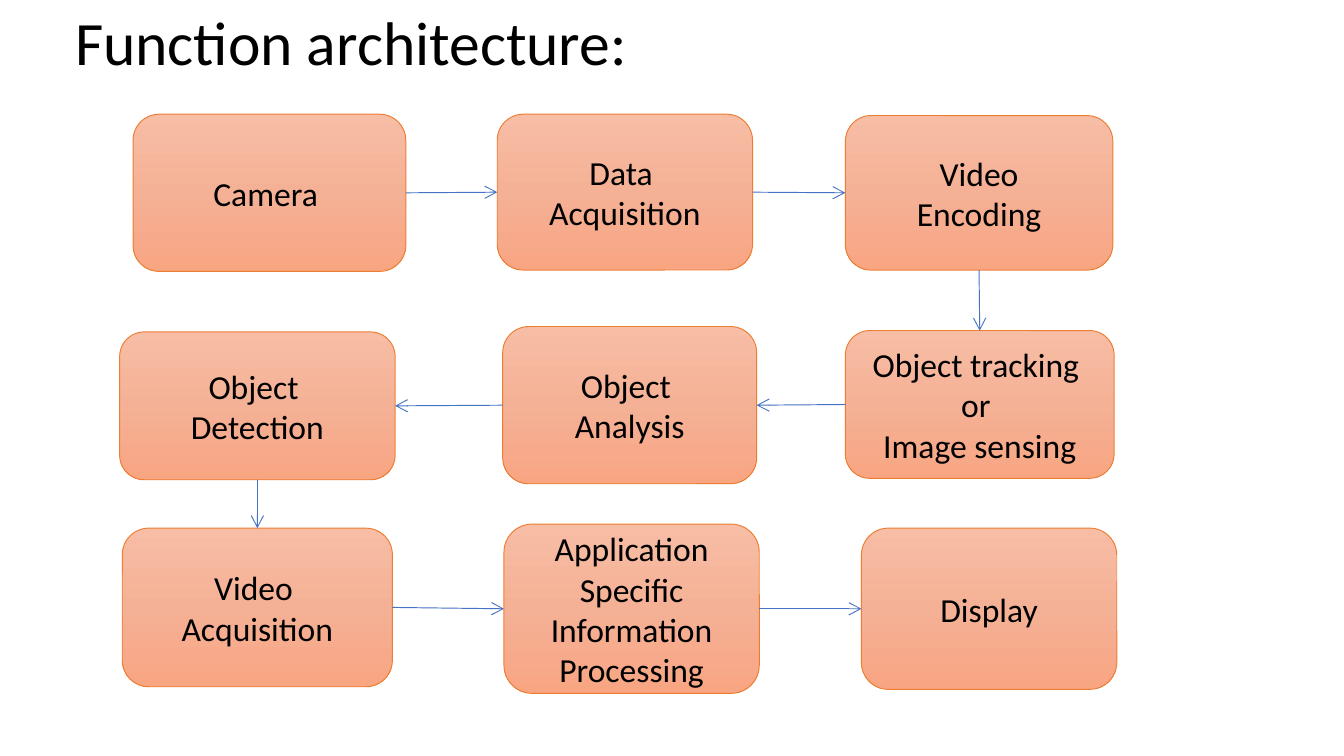
import copy
from typing import NamedTuple

import lxml.etree
import pptx
import pptx.dml.color
import pptx.enum.shapes
import pptx.enum.text
import pptx.oxml.ns
import pptx.util
from pptx.util import Inches

COLORS = {
    "text": "000000",
    "box_top": "F7BDA5",
    "box_middle": "F5B196",
    "box_bottom": "F8A582",
    "box_line": "ED7D31",
    "arrow": "4472C4",
}
FONT = "Calibri"
TOP, LEFT, BOTTOM, RIGHT = range(4)
qn = pptx.oxml.ns.qn


class Step(NamedTuple):
    text: str
    left: float
    top: float
    width: float
    height: float


# In the order of the flow: right, down, left, down, right
STEPS = [
    Step("Camera ", 0.99, 0.85, 2.03, 1.17),
    Step("Data \nAcquisition", 3.7, 0.85, 1.9, 1.16),
    Step("Video\nEncoding", 6.29, 0.86, 1.99, 1.15),
    Step("Object tracking \nor \nImage sensing", 6.29, 2.46, 2, 1.1),
    Step("Object \nAnalysis", 3.74, 2.43, 1.89, 1.17),
    Step("Object \nDetection", 0.89, 2.47, 2.05, 1.1),
    Step("Video \nAcquisition", 0.91, 3.93, 2.01, 1.18),
    Step("Application Specific Information\nProcessing", 3.75, 3.9, 1.9, 1.26),
    Step("Display", 6.41, 3.93, 1.9, 1.2),
]
RIGHTWARD, DOWNWARD, LEFTWARD = (RIGHT, LEFT), (BOTTOM, TOP), (LEFT, RIGHT)
DIRECTIONS = [
    RIGHTWARD, RIGHTWARD, DOWNWARD,
    LEFTWARD, LEFTWARD, DOWNWARD,
    RIGHTWARD, RIGHTWARD,
]


def rgb(name: str) -> pptx.dml.color.RGBColor:
    return pptx.dml.color.RGBColor.from_string(COLORS[name])


def write_text(sp, text: str, *, size: float, align=None, line_spacing=None) -> None:
    """Fill a shape with one paragraph per line of text."""
    tf = sp.text_frame
    tf.word_wrap = True
    tf.vertical_anchor = pptx.enum.text.MSO_ANCHOR.MIDDLE
    tf.text = text
    for p in tf.paragraphs:
        p.alignment = align
        p.line_spacing = line_spacing
        for r in p.runs:
            r.font.name = FONT
            r.font.size = pptx.util.Pt(size)
            r.font.color.rgb = rgb("text")


def fill_gradient(sp) -> None:
    """Apply the three-stop gradient, running from top to bottom."""
    sp.fill.gradient()
    sp.fill.gradient_angle = 270
    stops = sp._element.spPr.find(".//" + qn("a:gsLst"))
    stops.insert(1, copy.deepcopy(stops[0]))
    names = ("box_top", "box_middle", "box_bottom")
    for i, (stop, name) in enumerate(zip(sp.fill.gradient_stops, names)):
        stop.position = i / 2
        stop.color.rgb = rgb(name)


def add_step(s, step: Step):
    sp = s.shapes.add_shape(
        pptx.enum.shapes.MSO_SHAPE.ROUNDED_RECTANGLE,
        Inches(step.left), Inches(step.top), Inches(step.width), Inches(step.height),
    )
    sp.shadow.inherit = False
    fill_gradient(sp)
    sp.line.color.rgb = rgb("box_line")
    sp.line.width = pptx.util.Pt(0.5)
    write_text(sp, step.text, size=18, align=pptx.enum.text.PP_ALIGN.CENTER)
    return sp


def add_arrow(s, start, end, direction: tuple[int, int]) -> None:
    line = s.shapes.add_connector(pptx.enum.shapes.MSO_CONNECTOR.STRAIGHT, 0, 0, 0, 0)
    line.begin_connect(start, direction[0])
    line.end_connect(end, direction[1])
    line.line.color.rgb = rgb("arrow")
    line.line.width = pptx.util.Pt(0.5)
    lxml.etree.SubElement(line.line._get_or_add_ln(), qn("a:tailEnd"), type="arrow")
    lxml.etree.SubElement(line._element.spPr, qn("a:effectLst"))


def main() -> None:
    prs = pptx.Presentation()
    prs.slide_width, prs.slide_height = Inches(10), Inches(10 * 9 / 16)
    s = prs.slides.add_slide(prs.slide_layouts[6])

    boxes = [add_step(s, step) for step in STEPS]
    for start, end, direction in zip(boxes, boxes[1:], DIRECTIONS):
        add_arrow(s, start, end, direction)

    title = s.shapes.add_textbox(Inches(0.46), 0, Inches(8.85), Inches(0.68))
    write_text(title, "Function architecture:", size=33, line_spacing=0.9)
    prs.save("out.pptx")


if __name__ == "__main__":
    main()
